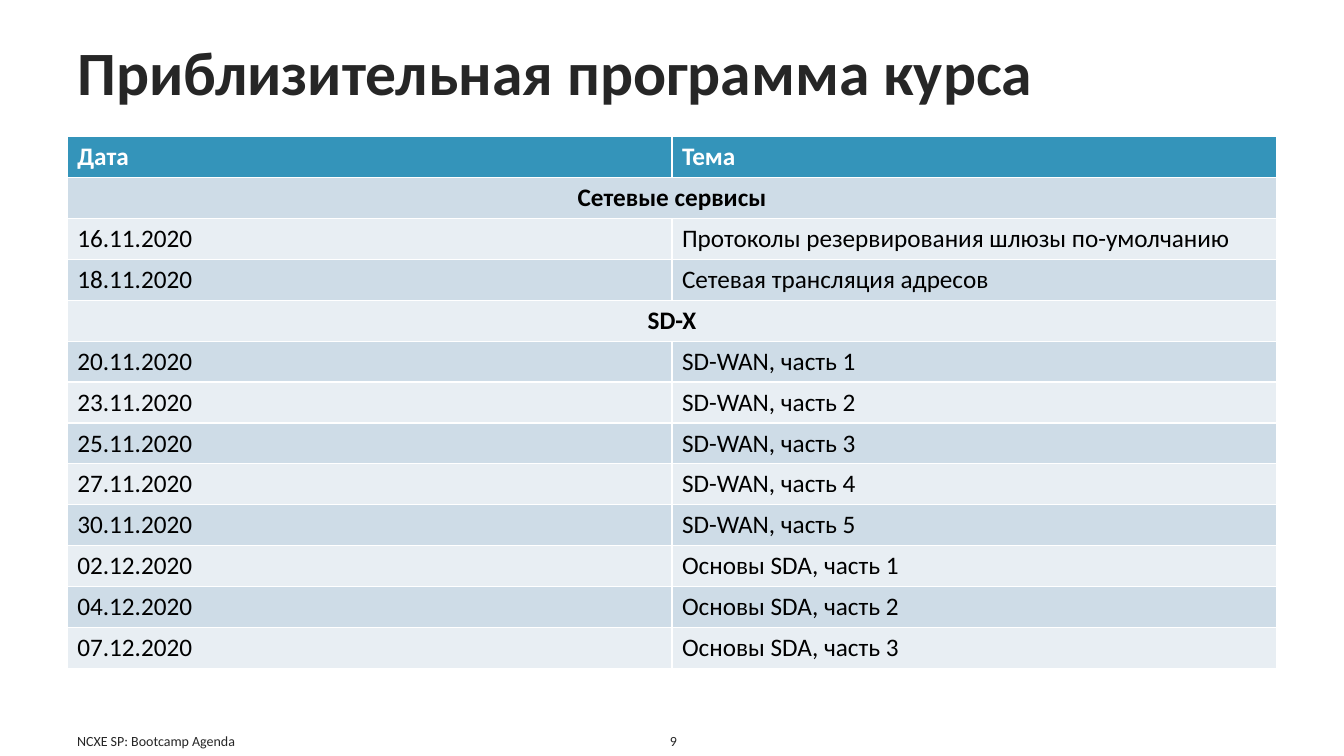
"""Build the course programme slide with its schedule table."""
from dataclasses import dataclass

from pptx import Presentation
from pptx import util as u
from pptx.dml.color import RGBColor
from pptx.enum import text
from pptx.slide import Slide
from pptx.table import Table, _Cell
from pptx.text.text import TextFrame

WIDTH, HEIGHT = u.Inches(13.33), u.Inches(7.5)
MARGIN = 0.05
CONTENT = 1 - 2 * MARGIN
FONT = "Calibri"
WHITE = RGBColor(0xFF, 0xFF, 0xFF)
BLACK = RGBColor(0x00, 0x00, 0x00)
CHARCOAL = RGBColor(0x26, 0x26, 0x26)
HEADER_BLUE = RGBColor(0x34, 0x94, 0xBA)
BANDS = (RGBColor(0xE8, 0xEE, 0xF3), RGBColor(0xCE, 0xDC, 0xE7))


@dataclass(frozen=True)
class Area:
    """Position and size as shares of the slide."""
    left: float
    top: float
    width: float
    height: float

    def box(self) -> tuple[int, int, int, int]:
        """Return left, top, width and height in slide units."""
        return (round(self.left * WIDTH), round(self.top * HEIGHT),
                round(self.width * WIDTH), round(self.height * HEIGHT))


@dataclass(frozen=True)
class Style:
    """Look of one paragraph."""
    size: int
    color: RGBColor
    bold: bool = False
    alignment: text.PP_ALIGN = text.PP_ALIGN.LEFT


@dataclass(frozen=True)
class Label:
    """Small text in the footer row."""
    words: str
    area: Area
    alignment: text.PP_ALIGN


@dataclass(frozen=True)
class Lesson:
    """Dated row of the schedule."""
    date: str
    topic: str


@dataclass(frozen=True)
class Section:
    """Heading row that spans the schedule."""
    name: str


TITLE_AREA = Area(MARGIN, 0.053, CONTENT, 0.095)
TABLE_AREA = Area(MARGIN, 0.181, CONTENT, 0.703)
LABELS = (
    Label("NCXE SP: Bootcamp Agenda", Area(MARGIN, 0.961, 0.338, 0.039), text.PP_ALIGN.LEFT),
    Label("9", Area(0.389, 0.961, 0.224, 0.039), text.PP_ALIGN.CENTER),
)
HEADER = Lesson("Дата", "Тема")
SCHEDULE = (
    Section("Сетевые сервисы"),
    Lesson("16.11.2020", "Протоколы резервирования шлюзы по-умолчанию"),
    Lesson("18.11.2020", "Сетевая трансляция адресов"),
    Section("SD-X"),
    Lesson("20.11.2020", "SD-WAN, часть 1"),
    Lesson("23.11.2020", "SD-WAN, часть 2"),
    Lesson("25.11.2020", "SD-WAN, часть 3"),
    Lesson("27.11.2020", "SD-WAN, часть 4"),
    Lesson("30.11.2020", "SD-WAN, часть 5"),
    Lesson("02.12.2020", "Основы SDA, часть 1"),
    Lesson("04.12.2020", "Основы SDA, часть 2"),
    Lesson("07.12.2020", "Основы SDA, часть 3"),
)
HEADER_STYLE = Style(18, WHITE, True)
LESSON_STYLE = Style(18, BLACK)
SECTION_STYLE = Style(18, BLACK, True, text.PP_ALIGN.CENTER)


def write(frame: TextFrame, words: str, style: Style) -> None:
    """Put one styled paragraph into a text frame."""
    frame.text = words
    paragraph = frame.paragraphs[0]
    paragraph.alignment = style.alignment
    paragraph.font.name = FONT
    paragraph.font.size = u.Pt(style.size)
    paragraph.font.bold = style.bold
    paragraph.font.color.rgb = style.color


def add_title(slide: Slide, words: str) -> None:
    """Place and format the slide title."""
    title = slide.shapes.title
    title.left, title.top, title.width, title.height = TITLE_AREA.box()
    frame = title.text_frame
    write(frame, words, Style(44, CHARCOAL, True))
    frame.paragraphs[0].line_spacing = 0.9
    frame.vertical_anchor = text.MSO_ANCHOR.MIDDLE
    frame.auto_size = text.MSO_AUTO_SIZE.NONE


def add_label(slide: Slide, label: Label) -> None:
    """Add one footer label."""
    frame = slide.shapes.add_textbox(*label.area.box()).text_frame
    frame.word_wrap = True
    frame.vertical_anchor = text.MSO_ANCHOR.MIDDLE
    write(frame, label.words, Style(10, CHARCOAL, alignment=label.alignment))


def fill_cell(cell: _Cell, words: str, fill: RGBColor, style: Style) -> None:
    """Write and colour one table cell."""
    cell.fill.solid()
    cell.fill.fore_color.rgb = fill
    write(cell.text_frame, words, style)


def fill_lesson(table: Table, row: int, lesson: Lesson, fill: RGBColor, style: Style) -> None:
    """Fill the date and topic cells of a row."""
    for column, words in enumerate((lesson.date, lesson.topic)):
        fill_cell(table.cell(row, column), words, fill, style)


def add_schedule(slide: Slide) -> None:
    """Add the schedule with banded rows and merged headings."""
    table = slide.shapes.add_table(len(SCHEDULE) + 1, 2, *TABLE_AREA.box()).table
    fill_lesson(table, 0, HEADER, HEADER_BLUE, HEADER_STYLE)
    for row, entry in enumerate(SCHEDULE, start=1):
        band = BANDS[row % 2]
        if isinstance(entry, Section):
            table.cell(row, 0).merge(table.cell(row, 1))
            fill_cell(table.cell(row, 0), entry.name, band, SECTION_STYLE)
        else:
            fill_lesson(table, row, entry, band, LESSON_STYLE)


def main() -> None:
    """Build and save the presentation."""
    presentation = Presentation()
    presentation.slide_width, presentation.slide_height = WIDTH, HEIGHT
    slide = presentation.slides.add_slide(presentation.slide_layouts[5])
    add_title(slide, "Приблизительная программа курса")
    add_schedule(slide)
    for label in LABELS:
        add_label(slide, label)
    presentation.save("out.pptx")


if __name__ == "__main__":
    main()
